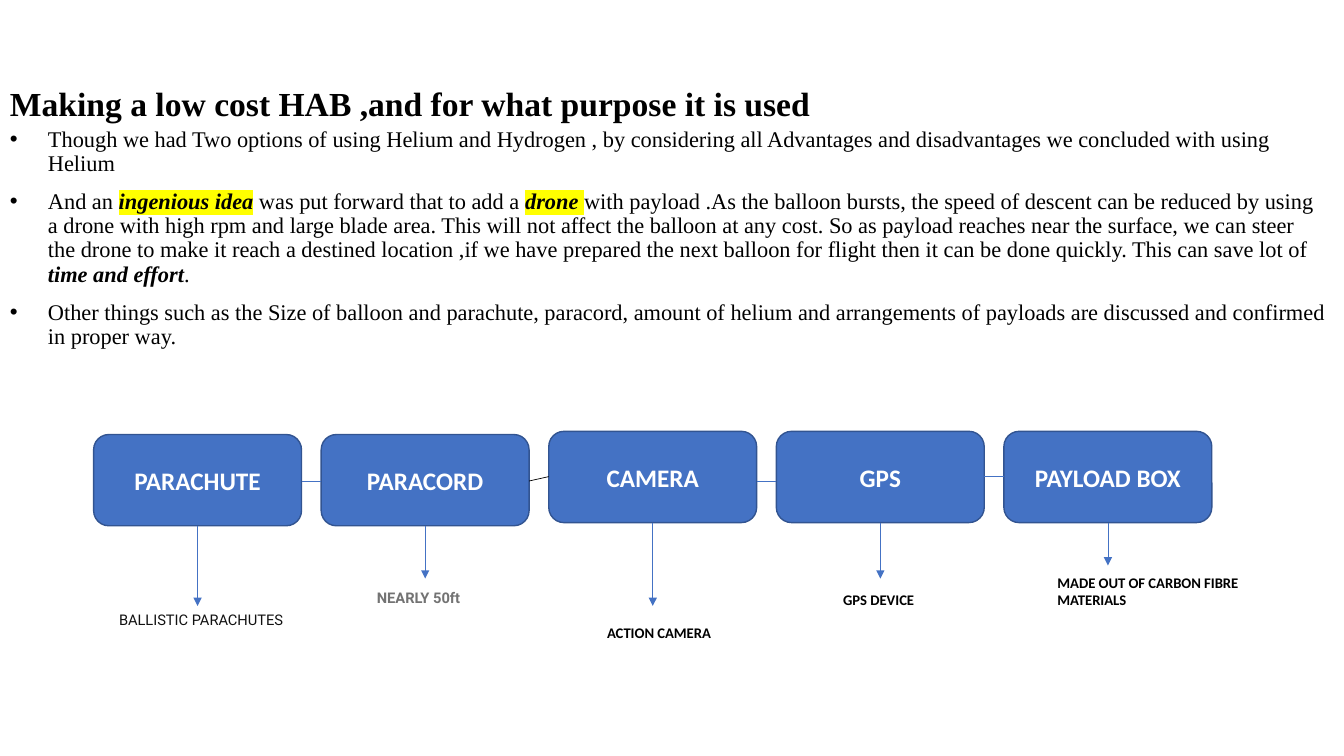
from lxml.etree import SubElement
from pptx import Presentation
from pptx.dml.color import RGBColor
from pptx.enum.shapes import MSO_CONNECTOR as CONNECTOR, MSO_SHAPE as SHAPE
from pptx.enum.text import MSO_ANCHOR as ANCHOR, PP_ALIGN as ALIGN
from pptx.oxml.ns import qn
from pptx.util import Cm, Pt


def add_run(paragraph, text, size=10.5, font="Calibri", color="000000",
            bold=False, italic=False, highlight=None):
    run = paragraph.add_run()
    run.text = text
    run.font.size = Pt(size)
    run.font.name = font
    run.font.bold = bold
    run.font.italic = italic
    run.font.fill.solid()
    run.font.fill.fore_color.rgb = RGBColor.from_string(color)
    if highlight:
        mark = run.font._element.makeelement(qn("a:highlight"), {})
        SubElement(mark, qn("a:srgbClr"), val=highlight)
        run.font._element.find(qn("a:solidFill")).addnext(mark)


def add_line(x1, y1, x2, y2, color="4472C4", arrow=False):
    connector = slide.shapes.add_connector(
        CONNECTOR.STRAIGHT, Cm(x1), Cm(y1), Cm(x2), Cm(y2))
    connector.line.width = Pt(0.5)
    connector.line.color.rgb = RGBColor.from_string(color)
    if arrow:
        SubElement(connector.line._get_or_add_ln(), qn("a:tailEnd"), type="triangle")
    SubElement(connector._element.spPr, qn("a:effectLst"))


presentation = Presentation()
presentation.slide_width = Cm(33.87)
presentation.slide_height = Cm(19.05)
slide = presentation.slides.add_slide(presentation.slide_layouts[6])

title = slide.shapes.add_textbox(Cm(0), Cm(1.27), Cm(33.27), Cm(2.77)).text_frame
title.word_wrap = True
title.vertical_anchor = ANCHOR.MIDDLE
title.paragraphs[0].line_spacing = 0.9
add_run(title.paragraphs[0], "Making a low cost HAB ,and for what purpose it is used",
        size=24, font="Times New Roman", bold=True)

strong = {"bold": True, "italic": True}
marked = {**strong, "highlight": "FFFF00"}
bullets = [
    [("Though we had Two options of using Helium and Hydrogen , by considering all "
      "Advantages and disadvantages we concluded with using Helium", {})],
    [("And an ", {}), ("ingenious idea", marked),
     (" was put forward that to add a ", {}), ("drone ", marked),
     ("with payload .As the balloon bursts, the speed of descent can be reduced by using "
      "a drone with high rpm and large blade area. This will not affect the balloon at any "
      "cost. So as payload reaches near the surface, we can steer the drone to make it reach "
      "a destined location ,if we have prepared the next balloon for flight then it can be "
      "done quickly. This can save lot of ", {}),
     ("time and effort", strong), (".", {})],
    [("Other things such as the Size of balloon and parachute, paracord, amount of helium "
      "and arrangements of payloads are discussed and confirmed in proper way.", {})],
]
body = slide.shapes.add_textbox(Cm(0), Cm(3.1), Cm(33.71), Cm(5.94)).text_frame
body.word_wrap = True
for index, runs in enumerate(bullets):
    paragraph = body.add_paragraph() if index else body.paragraphs[0]
    paragraph.line_spacing = 0.9
    paragraph.space_before = Pt(10 if index else 0)
    properties = paragraph._p.get_or_add_pPr()
    properties.set("marL", str(Cm(0.96)))
    properties.set("indent", str(Cm(-0.96)))
    SubElement(properties, qn("a:buFont"), typeface="Arial")
    SubElement(properties, qn("a:buChar"), char="•")
    for text, style in runs:
        add_run(paragraph, text, size=16, font="Times New Roman", **style)

first_left, pitch, box_width, box_height = 2.36, 5.735, 5.24, 2.3
parts = [
    ("PARACHUTE", 10.95, 15.27, "BALLISTIC PARACHUTES", 2.75, 15.27, 5.6,
     {"font": "Roboto", "color": "111111"}),
    ("PARACORD", 10.95, 14.58, "NEARLY 50ft", 9.25, 14.71, 3.8,
     {"font": "Roboto", "color": "737373", "bold": True}),
    ("CAMERA", 10.87, 15.27, "ACTION CAMERA", 15.05, 15.6, 4.1, {"bold": True}),
    ("GPS", 10.87, 14.58, "GPS DEVICE", 21.0, 14.76, 4.55, {"bold": True}),
    ("PAYLOAD BOX", 10.87, 14.25, "MADE OUT OF CARBON FIBRE MATERIALS",
     26.4, 14.33, 6.6, {"bold": True}),
]
for index, (name, top, arrow_end, note, note_left, note_top, note_width, style) in enumerate(parts):
    left = first_left + index * pitch
    box = slide.shapes.add_shape(
        SHAPE.ROUNDED_RECTANGLE, Cm(left), Cm(top), Cm(box_width), Cm(box_height))
    box.shadow.inherit = False
    box.fill.solid()
    box.fill.fore_color.rgb = RGBColor.from_string("4472C4")
    box.line.color.rgb = RGBColor.from_string("325491")
    box.line.width = Pt(1)
    box.text_frame.vertical_anchor = ANCHOR.MIDDLE
    box.text_frame.paragraphs[0].alignment = ALIGN.CENTER
    add_run(box.text_frame.paragraphs[0], name, size=18, color="FFFFFF", bold=True)

    center = left + box_width / 2
    add_line(center, top + box_height, center, arrow_end, arrow=True)

    caption = slide.shapes.add_textbox(
        Cm(note_left), Cm(note_top), Cm(note_width), Cm(0.71)).text_frame
    caption.word_wrap = True
    add_run(caption.paragraphs[0], note, **style)

links = [(12.12, 12.12, "4472C4"), (12.12, 12.01, "000000"),
         (12.12, 12.12, "4472C4"), (12.01, 12.01, "4472C4")]
for index, (start, end, color) in enumerate(links):
    next_left = first_left + (index + 1) * pitch
    add_line(next_left - pitch + box_width, start, next_left, end, color)

presentation.save("out.pptx")
